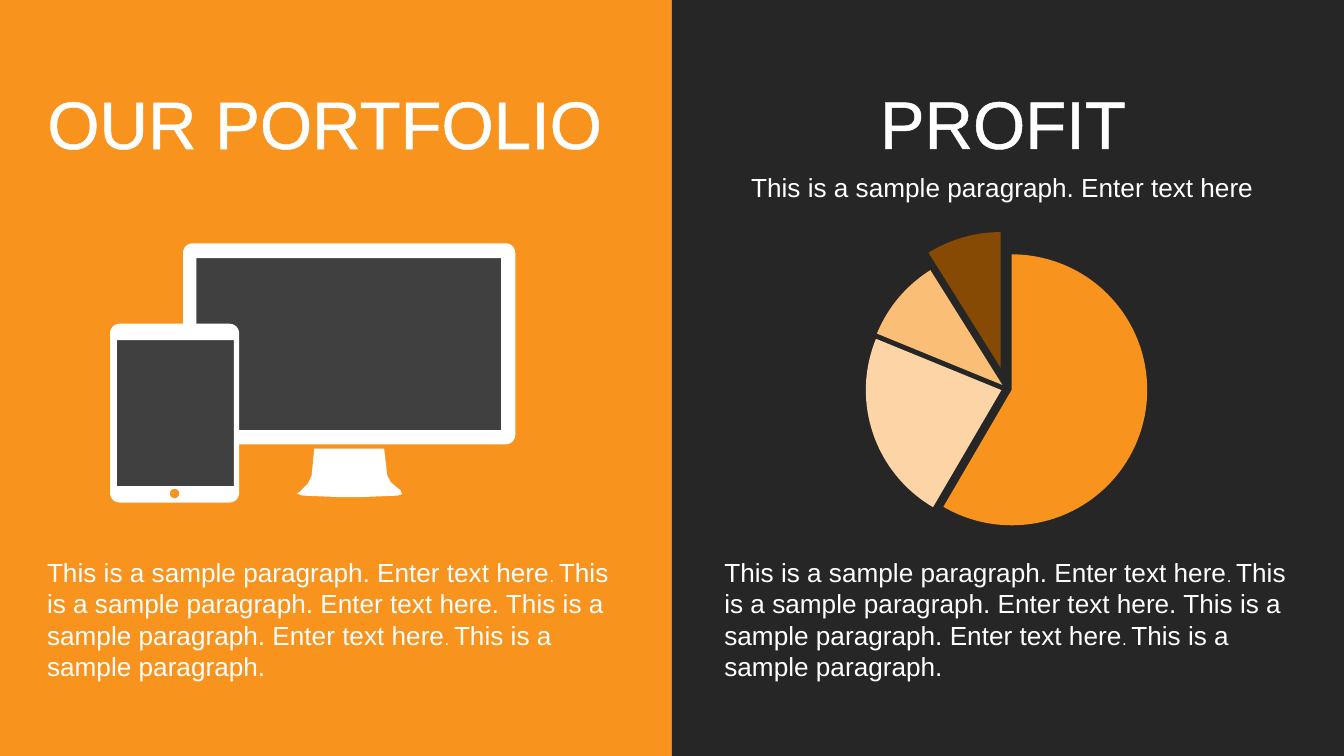
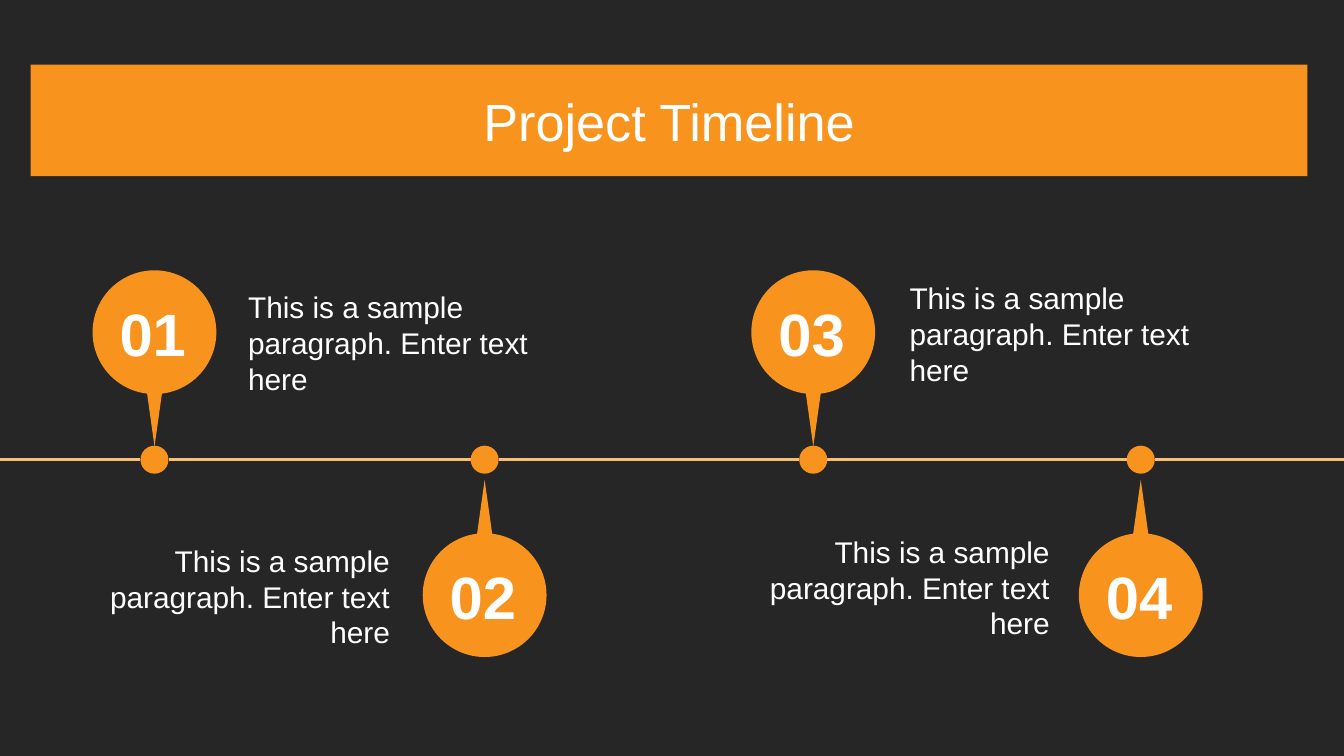
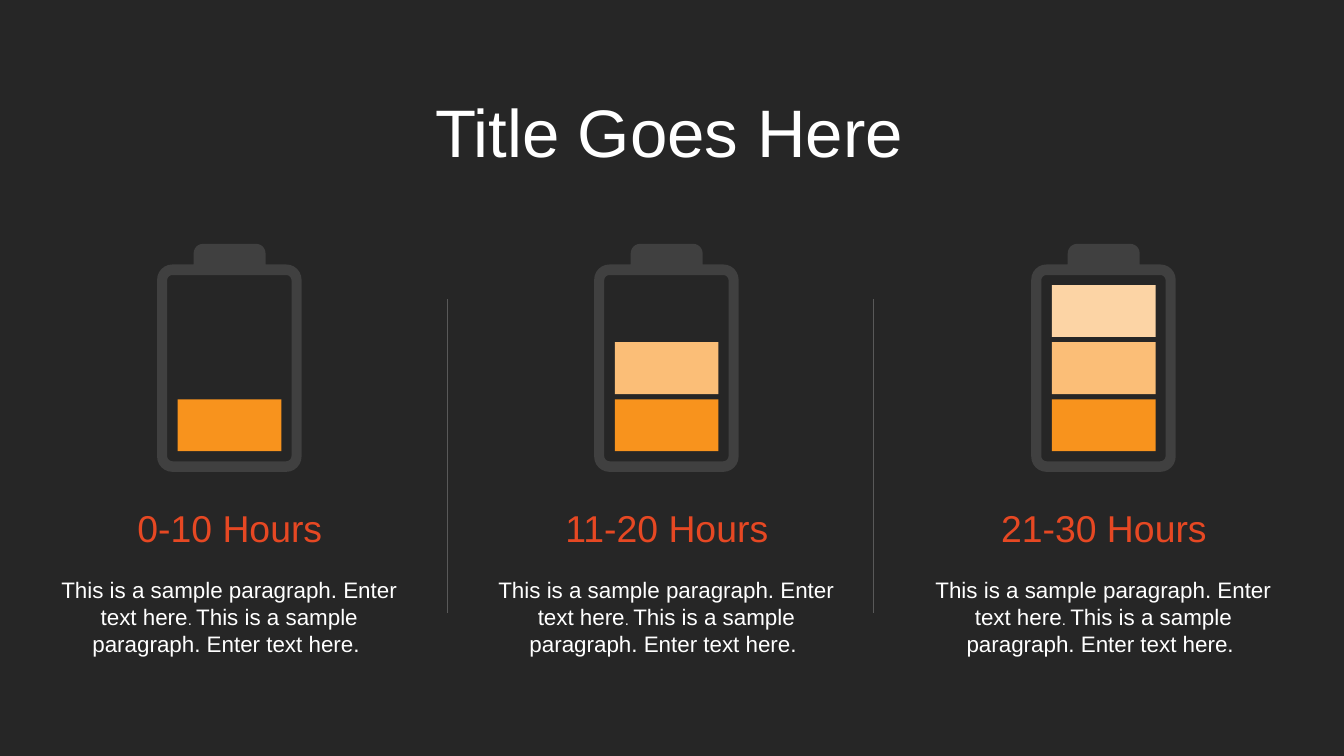
import math
from itertools import cycle

from lxml import etree
from pptx import Presentation
from pptx import util as u
from pptx.chart.data import CategoryChartData
from pptx.dml.color import RGBColor
from pptx.enum import chart as charts, shapes as kinds, text as modes
from pptx.oxml import parse_xml
from pptx.oxml.ns import nsdecls, qn

COLORS = {
    "dark": "262626", "orange": "F8931D", "peach": "FBBE77", "cream": "FCD4A5",
    "brown": "864A04", "gray": "404040", "rule": "595959", "red": "E64823",
    "white": "FFFFFF", "black": "000000",
}
FONT = "Arial"
WIDTH, HEIGHT = 25.4, 14.29
ALIGN = {"l": modes.PP_ALIGN.LEFT, "c": modes.PP_ALIGN.CENTER, "r": modes.PP_ALIGN.RIGHT}
KIND = kinds.MSO_SHAPE

SAMPLE = "This is a sample paragraph. Enter text here"

# Slide 1, lengths in centimetres
PORTFOLIO_BODY = [(SAMPLE, 14), (". ", 9), (f"{SAMPLE}. {SAMPLE}", 14), (". ", 9),
                  ("This is a sample paragraph.", 14)]
SLICES = [("1", 59, "orange", 4), ("2", 23, "cream", 4), ("3", 10, "peach", 4),
          ("4", 9, "brown", 16)]  # category, value, colour, explosion
PIE_LAYOUT = {"x": 0.19, "y": 0.07, "w": 0.61, "h": 0.87}
STAND = [(5.94, 8.48), (7.26, 8.48), (7.32, 8.99), (7.39, 9.12), (7.57, 9.27),
         (7.6, 9.34), (7.52, 9.37), (6.76, 9.4), (6.48, 9.4), (5.72, 9.37),
         (5.61, 9.33), (5.66, 9.3), (5.82, 9.14), (5.89, 8.99)]

# Slide 2: number, centre of its dot, place of its text
MILESTONES = [("01", 2.92, (4.44, 5.33)), ("02", 9.16, (1.07, 10.13)),
              ("03", 15.37, (16.94, 5.16)), ("04", 21.56, (13.54, 9.96))]
AXIS, DOT, BUBBLE = 8.69, 0.53, 2.34

# Slide 3
HOURS = ["0-10 Hours", "11-20 Hours", "21-30 Hours"]
HOURS_BODY = [(SAMPLE, 12), (". ", 8), (f"{SAMPLE}. ", 12)]
CELLS = ["orange", "peach", "cream"]
COLUMN_PITCH = 8.26


def rgb(name):
    return RGBColor.from_string(COLORS[name])


def lengths(values):
    return [u.Cm(value) for value in values]


def paint(shape, color):
    shape.shadow.inherit = False
    shape.fill.solid()
    shape.fill.fore_color.rgb = rgb(color)
    shape.line.fill.background()
    return shape


def add_block(shapes, place, color, kind=KIND.RECTANGLE):
    return paint(shapes.add_shape(kind, *lengths(place)), color)


def add_outline(shapes, contours, color):
    """Draw one filled freeform; contours after the first are holes."""
    builder = None
    for contour in contours:
        first, *rest = [lengths(point) for point in contour]
        if builder is None:
            builder = shapes.build_freeform(*first, scale=1.0)
        else:
            builder.move_to(*first)
        builder.add_line_segments(rest, close=True)
    return paint(builder.convert_to_shape(), color)


def rounded(left, top, right, bottom, radius, steps=6):
    """Points of a rounded rectangle, clockwise from its top left corner."""
    centers = [(left + radius, top + radius), (right - radius, top + radius),
               (right - radius, bottom - radius), (left + radius, bottom - radius)]
    points = []
    for corner, (x, y) in enumerate(centers):
        for step in range(steps + 1):
            angle = math.pi * (1 + (corner + step / steps) / 2)
            points.append((x + radius * math.cos(angle), y + radius * math.sin(angle)))
    return points


def add_line(shapes, start, end, color, width):
    line = shapes.add_connector(kinds.MSO_CONNECTOR.STRAIGHT, *lengths(start + end))
    line.line.color.rgb = rgb(color)
    line.line.width = u.Pt(width)
    etree.SubElement(line._element.spPr, qn("a:effectLst"))


def write(shape, spans, align="l", color="white", bold=False, middle=False, wrap=True):
    """Fill a shape with one paragraph of (text, size) spans."""
    frame = shape.text_frame
    frame.auto_size = modes.MSO_AUTO_SIZE.NONE
    frame.word_wrap = wrap
    frame.vertical_anchor = modes.MSO_ANCHOR.MIDDLE if middle else modes.MSO_ANCHOR.TOP
    para = frame.paragraphs[0]
    para.alignment = ALIGN[align]
    for text, size in spans:
        span = para.add_run()
        span.text = text
        span.font.name = FONT
        span.font.size = u.Pt(size)
        span.font.bold = bold
        span.font.color.rgb = rgb(color)
    return shape


def add_text(shapes, place, spans, **style):
    return write(shapes.add_textbox(*lengths(place)), spans, **style)


def place_title(slide, place, text, size, **style):
    """Move the title placeholder into place, in front of what is drawn so far."""
    title = slide.shapes.title
    title.left, title.top, title.width, title.height = lengths(place)
    slide.shapes._spTree.append(title._element)
    return write(title, [(text, size)], **style)


def outline_text(shape):
    for span in shape.text_frame.paragraphs[0].runs:
        span.font._element.insert(0, parse_xml(
            f'<a:ln {nsdecls("a")} w="3175"><a:solidFill>'
            f'<a:srgbClr val="{COLORS["white"]}"/></a:solidFill></a:ln>'))


def add_devices(slide):
    shapes = slide.shapes.add_group_shape().shapes
    add_block(shapes, (3.61, 4.78, 5.92, 3.45), "gray")
    add_outline(shapes, [STAND], "white")
    add_outline(shapes, [rounded(3.46, 4.6, 9.74, 8.4, 0.18),
                         rounded(3.71, 4.88, 9.47, 8.13, 0)[::-1]], "white")
    add_block(shapes, (2.13, 6.38, 2.31, 2.82), "gray")
    add_outline(shapes, [rounded(2.08, 6.12, 4.52, 9.5, 0.18),
                         rounded(2.21, 6.43, 4.42, 9.19, 0)[::-1],
                         rounded(3.21, 9.24, 3.39, 9.42, 0.09)[::-1]], "white")


def add_profit_pie(slide):
    data = CategoryChartData()
    data.categories = [item[0] for item in SLICES]
    data.add_series("Series 1", [item[1] for item in SLICES])
    frame = slide.shapes.add_chart(charts.XL_CHART_TYPE.PIE,
                                   *lengths((14.86, 4.37, 8.41, 5.89)), data)
    chart = frame.chart
    chart.has_title = chart.has_legend = False
    chart.font.name = "Calibri"
    chart.font.size = u.Pt(18)
    chart.font.color.rgb = rgb("black")
    plot = chart.plots[0]
    plot.vary_by_categories = True
    series = plot.series[0]
    for index, (_, _, color, _) in enumerate(SLICES):
        look = series.points[index].format
        look.fill.solid()
        look.fill.fore_color.rgb = rgb(color)
        look.line.fill.background()
    for point, (_, _, _, explosion) in zip(series._element.findall(qn("c:dPt")), SLICES):
        push = etree.Element(qn("c:explosion"), val=str(explosion))
        point.find(qn("c:spPr")).addprevious(push)

    area = chart._chartSpace.chart.plotArea
    for old in area.findall(qn("c:layout")):
        area.remove(old)
    modes_xml = '<c:layoutTarget val="inner"/><c:xMode val="edge"/><c:yMode val="edge"/>'
    sizes_xml = "".join(f'<c:{key} val="{value}"/>' for key, value in PIE_LAYOUT.items())
    area.insert(0, parse_xml(f'<c:layout {nsdecls("c")}><c:manualLayout>'
                             f'{modes_xml}{sizes_xml}</c:manualLayout></c:layout>'))


def build_portfolio(slide):
    shapes = slide.shapes
    half = WIDTH / 2
    add_block(shapes, (0, 0, half, HEIGHT), "orange")
    add_devices(slide)
    title = place_title(slide, (0.64, 1.42, 11.23, 1.8), "OUR PORTFOLIO", 36)
    add_text(shapes, (0.64, 10.31, 11.23, 2.79), PORTFOLIO_BODY, middle=True)

    add_block(shapes, (half, 0, half, HEIGHT), "dark")
    profit = add_text(shapes, (13.34, 1.42, 11.23, 1.8), [("PROFIT", 36)], align="c")
    add_profit_pie(slide)
    add_text(shapes, (13.13, 3.12, 11.63, 0.86), [(SAMPLE, 14)], align="c")
    add_text(shapes, (13.44, 10.31, 11.23, 2.79), PORTFOLIO_BODY, middle=True)
    for heading in (title, profit):
        outline_text(heading)


def add_pin(slide, number, center, above):
    shapes = slide.shapes.add_group_shape().shapes
    top, tip_top = (5.11, 7.37) if above else (10.08, 9.07)
    add_block(shapes, (center - BUBBLE / 2, top, BUBBLE, BUBBLE), "orange", KIND.OVAL)
    tip = add_block(shapes, (center - 0.15, tip_top, 0.3, 1.07), "orange",
                    KIND.ISOSCELES_TRIANGLE)
    tip.rotation = 180 if above else 0
    add_text(shapes, (center - 0.91, top + 0.37, 1.78, 1.63), [(number, 32)],
             bold=True, wrap=False)


def build_timeline(slide):
    shapes = slide.shapes
    edges = [0]
    for _, center, _ in MILESTONES:
        edges += [center - DOT / 2, center + DOT / 2]
    edges.append(WIDTH)
    for start, end in zip(edges[::2], edges[1::2]):
        add_line(shapes, (start, AXIS), (end, AXIS), "peach", 1.5)
    for (number, center, corner), above in zip(MILESTONES, cycle([True, False])):
        add_block(shapes, (center - DOT / 2, AXIS - DOT / 2, DOT, DOT), "orange", KIND.OVAL)
        add_text(shapes, corner + (6.55, 2.31), [(SAMPLE, 16)], align="l" if above else "r")
        add_pin(slide, number, center, above)
    band = place_title(slide, (0.58, 1.22, 24.13, 2.11), "Project Timeline", 28,
                       align="c", middle=True)
    band.fill.solid()
    band.fill.fore_color.rgb = rgb("orange")


def add_battery(slide, left, level):
    shapes = slide.shapes.add_group_shape().shapes
    top, bottom = 5.0, 8.92
    body = rounded(left, top, left + 2.73, bottom, 0.29)
    cap = rounded(left + 0.69, 4.61, left + 2.05, top, 0.18)
    corner = len(body) // 4
    shell = (body[:corner] + [(left + 0.69, top)] + cap[:2 * corner]
             + [(left + 2.05, top)] + body[corner:])
    hole = rounded(left + 0.19, 5.2, left + 2.54, 8.72, 0.1)[::-1]
    add_outline(shapes, [shell, hole], "gray")
    for index, color in enumerate(CELLS[:level]):
        add_block(shapes, (left + 0.39, 7.55 - index * 1.08, 1.96, 0.98), color)


def build_hours(slide):
    shapes = slide.shapes
    for x in (8.46, 16.51):
        add_line(shapes, (x, 5.66), (x, 11.58), "rule", 0.75)
    for index, heading in enumerate(HOURS):
        shift = index * COLUMN_PITCH
        add_battery(slide, 2.97 + shift, index + 1)
        add_text(shapes, (1.07 + shift, 9.42, 6.55, 1.12), [(heading, 20)],
                 align="c", color="red")
        add_text(shapes, (0.84 + shift, 10.26, 6.99, 2.79), HOURS_BODY,
                 align="c", middle=True)
    place_title(slide, (0.58, 1.42, 24.13, 2.11), "Title Goes Here", 36,
                align="c", middle=True)


def main():
    deck = Presentation()
    deck.slide_width, deck.slide_height = lengths((WIDTH, HEIGHT))
    backdrop = deck.slide_master.background.fill
    backdrop.solid()
    backdrop.fore_color.rgb = rgb("dark")
    title_only = deck.slide_layouts[5]
    for build in (build_portfolio, build_timeline, build_hours):
        build(deck.slides.add_slide(title_only))
    deck.save("out.pptx")


if __name__ == "__main__":
    main()
